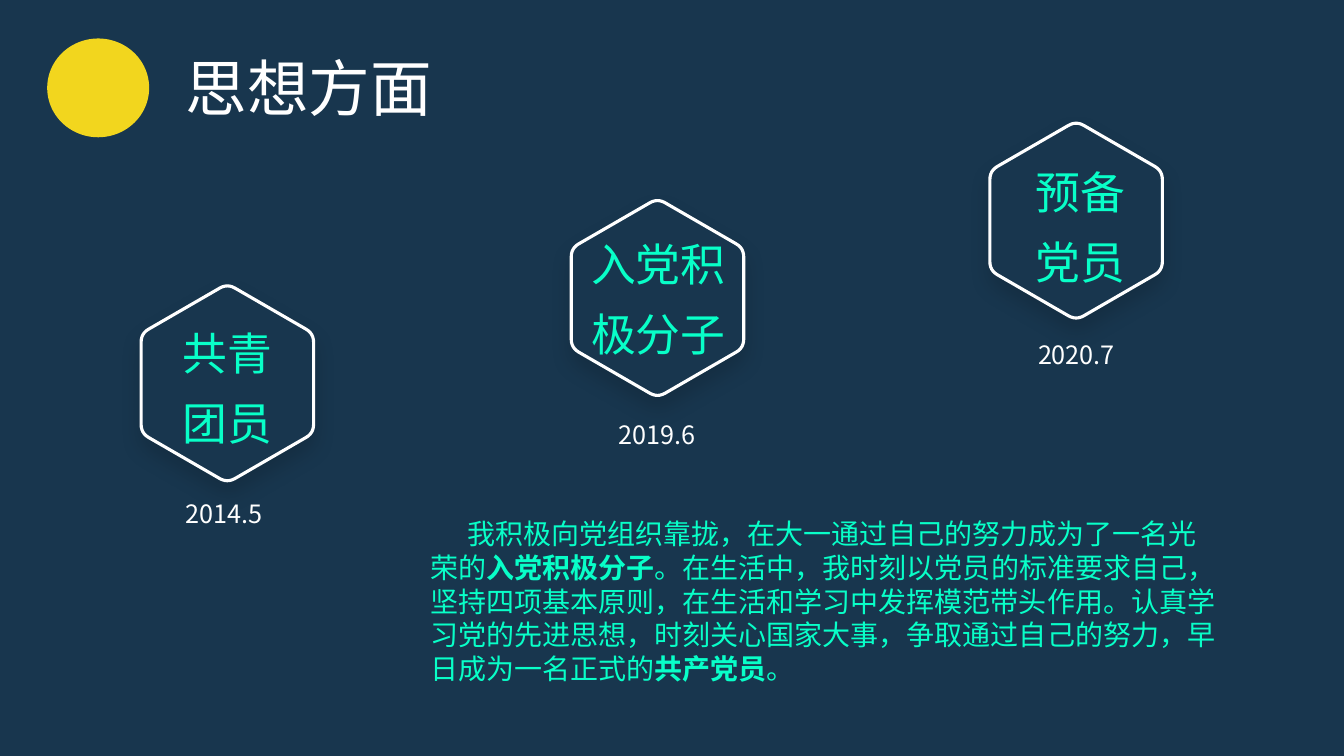
import math

from lxml import etree
from pptx import Presentation
from pptx import util as u
from pptx.dml.color import RGBColor
from pptx.enum import shapes, text
from pptx.oxml.ns import qn

NAVY, MINT, WHITE, GOLD = "18364E", "08FFC8", "FFFFFF", "F2D61E"


def colour(value):
    return RGBColor.from_string(value)


class Slide:
    """Holds the style and the current slide, and draws its elements."""

    radius, rounding, curve_steps = 2.51, 0.22, 6

    def __init__(self, deck):
        self.slide = deck.slides.add_slide(deck.slide_layouts[5])
        fill = self.slide.background.fill
        fill.solid()
        fill.fore_color.rgb = colour(NAVY)

    def add_words(self, frame, paragraphs, size, font, ink, align=text.PP_ALIGN.LEFT, spacing=None, indent=0):
        frame.word_wrap = True
        frame.auto_size = text.MSO_AUTO_SIZE.SHAPE_TO_FIT_TEXT
        frame.vertical_anchor = text.MSO_ANCHOR.TOP
        for index, runs in enumerate(paragraphs):
            paragraph = frame.add_paragraph() if index else frame.paragraphs[0]
            paragraph.alignment = align
            if spacing:
                paragraph.line_spacing = spacing
            if indent:
                paragraph._p.get_or_add_pPr().set("indent", str(u.Cm(indent)))
            for words, bold in runs:
                run = paragraph.add_run()
                run.text = words
                run.font.size, run.font.name, run.font.bold = u.Pt(size), font, bold
                run.font.color.rgb = colour(ink)

    def title(self, words, left, top, width, height):
        heading = self.slide.shapes.title
        heading.left, heading.top, heading.width, heading.height = map(u.Cm, (left, top, width, height))
        self.add_words(heading.text_frame, [[(words, False)]], 44, "Roboto", WHITE)

    def textbox(self, paragraphs, left, top, width, height, **style):
        box = self.slide.shapes.add_textbox(*map(u.Cm, (left, top, width, height)))
        self.add_words(box.text_frame, paragraphs, **style)

    def emblem(self, left, top, width, height):
        disc = self.slide.shapes.add_shape(shapes.MSO_SHAPE.OVAL, *map(u.Cm, (left, top, width, height)))
        disc.shadow.inherit = False
        disc.fill.solid()
        disc.fill.fore_color.rgb = colour(GOLD)
        disc.line.fill.background()

    def hexagon(self, centre_x, centre_y):
        corners = [(centre_x + self.radius * math.sin(math.radians(angle)),
                    centre_y - self.radius * math.cos(math.radians(angle)))
                   for angle in range(0, 360, 60)]
        share = self.rounding / self.radius
        outline = []
        for index, corner in enumerate(corners):
            before, after = corners[index - 1], corners[(index + 1) % 6]
            for step in range(self.curve_steps + 1):
                t = step / self.curve_steps
                outline.append(tuple(
                    u.Cm(c + share * ((1 - t) ** 2 * (b - c) + t ** 2 * (a - c)))
                    for b, c, a in zip(before, corner, after)))
        builder = self.slide.shapes.build_freeform(*outline[0])
        builder.add_line_segments(outline[1:], close=True)
        badge = builder.convert_to_shape()
        badge.fill.solid()
        badge.fill.fore_color.rgb = colour(NAVY)
        badge.line.color.rgb = colour(WHITE)
        badge.line.width = u.Pt(2.25)
        self.drop_shadow(badge)

    def drop_shadow(self, badge):
        badge.shadow.inherit = False
        effects = badge._element.spPr.find(qn("a:effectLst"))
        shadow = etree.SubElement(effects, qn("a:outerShdw"), blurRad=str(u.Pt(15)), dist=str(u.Pt(8)),
                                  dir="5400000", algn="t", rotWithShape="0")
        black = etree.SubElement(shadow, qn("a:srgbClr"), val="000000")
        etree.SubElement(black, qn("a:alpha"), val="15000")

    def milestone(self, centre, lines, label, date, date_place):
        self.hexagon(*centre)
        self.textbox([[(line, False)] for line in lines], *label, 3.81, size=32, font="Arial",
                     ink=MINT, align=text.PP_ALIGN.CENTER, spacing=1.3)
        self.textbox([[(date, False)]], *date_place, 2.77, 1.02, size=18,
                     font="Noto Sans CJK SC", ink=WHITE)


MILESTONES = [
    ((5.73, 9.66), ("共青", "团员"), (2.97, 7.67, 5.51), "2014.5", (4.42, 12.42)),
    ((16.57, 7.51), ("入党积", "极分子"), (12.83, 5.44, 7.52), "2019.6", (15.34, 10.44)),
    ((27.12, 5.56), ("预备", "党员"), (23.47, 3.63, 7.52), "2020.7", (25.91, 8.43)),
]
STATEMENT = [
    ("我积极向党组织靠拢，在大一通过自己的努力成为了一名光荣的", False),
    ("入党积极分子", True),
    ("。在生活中，我时刻以党员的标准要求自己，坚持四项基本原则，在生活和学习中发挥模范带头作用。"
     "认真学习党的先进思想，时刻关心国家大事，争取通过自己的努力，早日成为一名正式的", False),
    ("共产党员", True),
    ("。", False),
]


def main():
    deck = Presentation()
    deck.slide_width, deck.slide_height = u.Cm(33.87), u.Cm(19.05)
    page = Slide(deck)
    page.title("思想方面", 4.42, 1.14, 8.61, 2.13)
    page.emblem(1.19, 0.97, 2.57, 2.49)
    for milestone in MILESTONES:
        page.milestone(*milestone)
    page.textbox([STATEMENT], 10.59, 12.9, 20.4, 4.52, size=20, font="Arial", ink=MINT, indent=0.94)
    deck.save("out.pptx")


if __name__ == "__main__":
    main()
